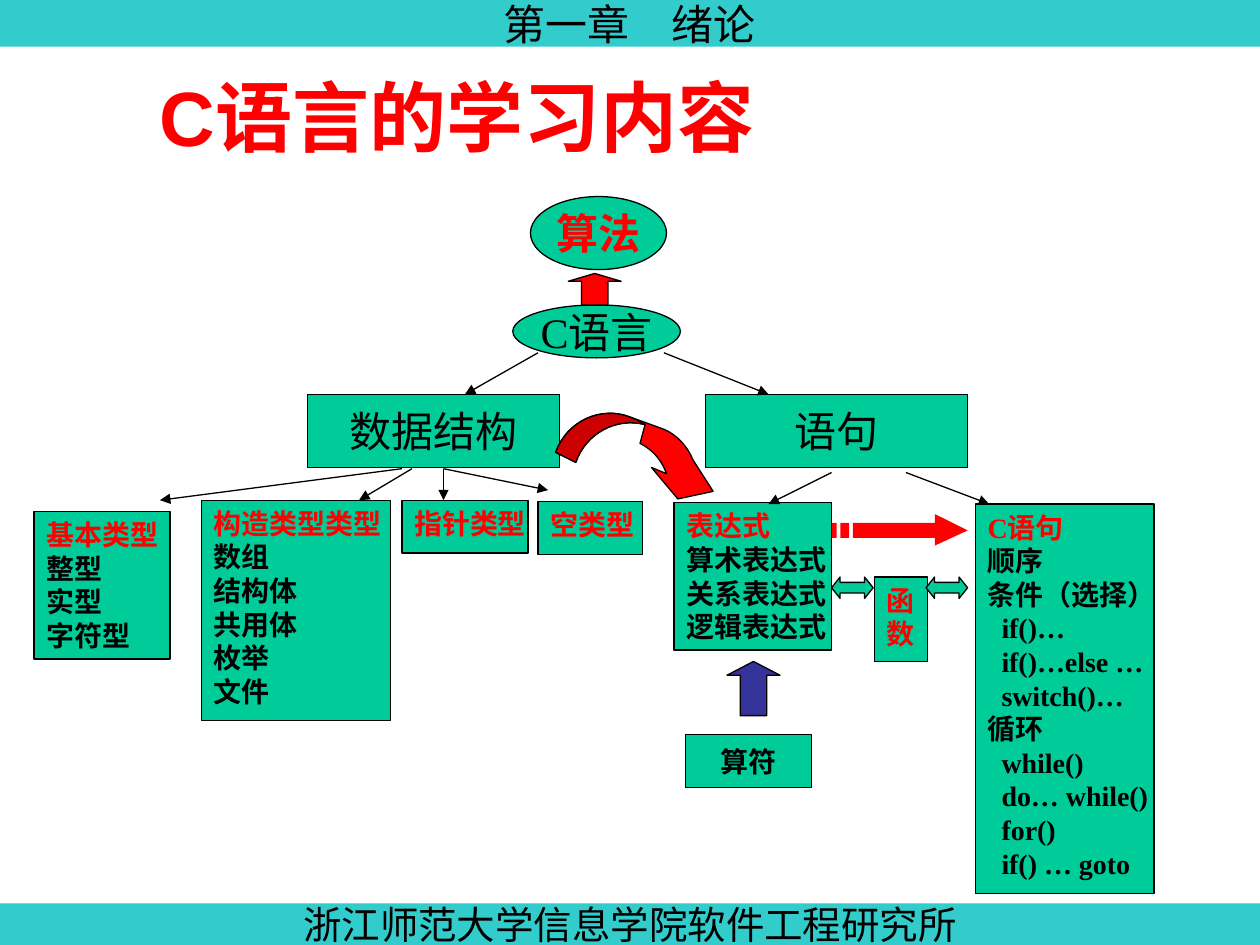
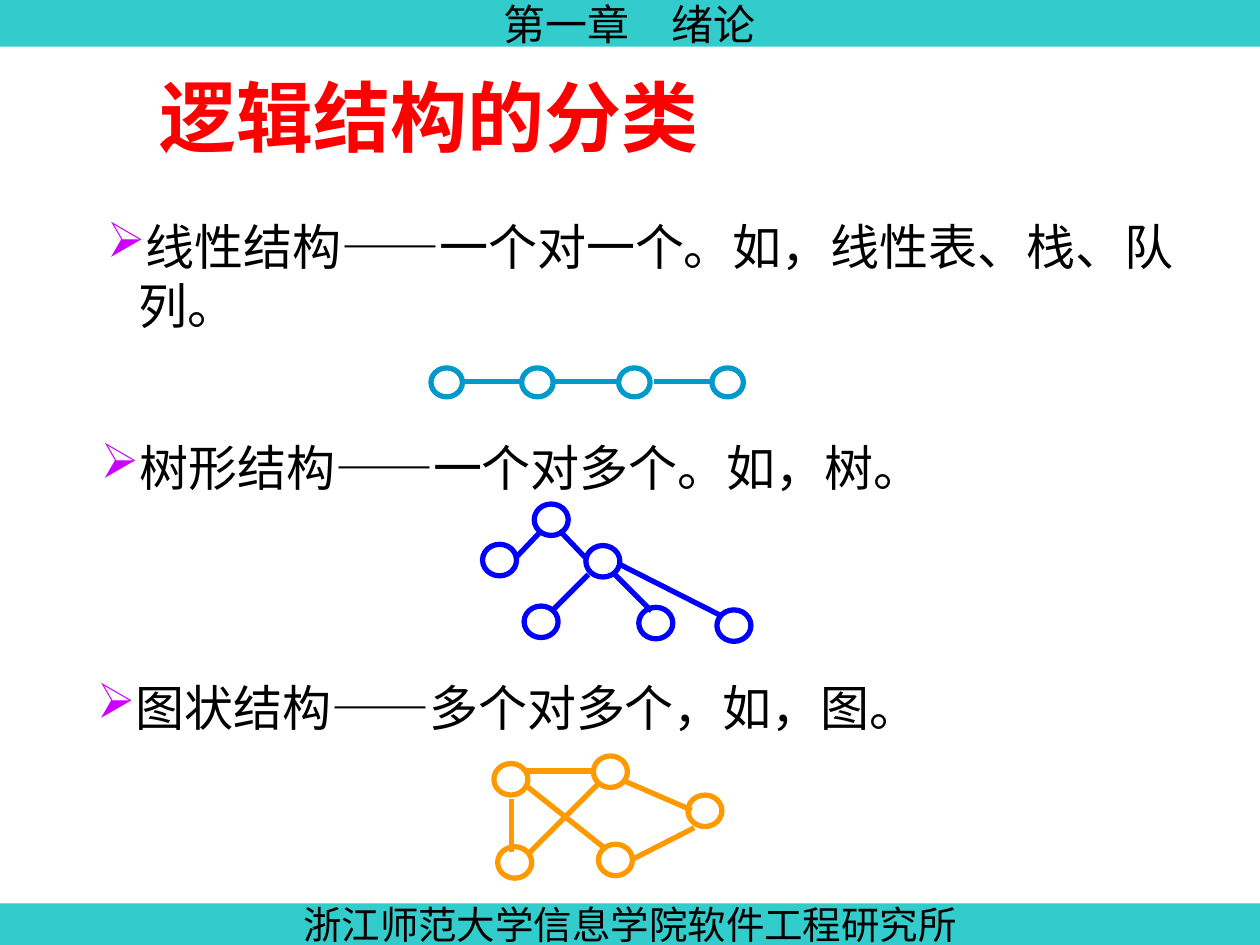
from dataclasses import dataclass
from typing import Any

from lxml import etree
from pptx import Presentation
from pptx.dml.color import RGBColor
from pptx.enum import shapes as es, text as et
from pptx.oxml.ns import qn
from pptx.util import Inches, Pt

BLACK = RGBColor(0x00, 0x00, 0x00)
RED = RGBColor(0xFF, 0x00, 0x00)
DARK_RED = RGBColor(0xCC, 0x00, 0x00)
BAND = RGBColor(0x33, 0xCC, 0xCC)
GREEN = RGBColor(0x00, 0xCC, 0x99)
INDIGO = RGBColor(0x33, 0x33, 0x99)
LINEAR = RGBColor(0x00, 0x99, 0xCC)
TREE = RGBColor(0x00, 0x00, 0xFF)
GRAPH = RGBColor(0xFF, 0x99, 0x00)
BULLET = RGBColor(0xCC, 0x00, 0xFF)

BODY_FONT = "Times New Roman"
TITLE_FONT = "Arial"
MST = es.MSO_SHAPE
LEFT, CENTER = et.PP_ALIGN.LEFT, et.PP_ALIGN.CENTER
TOP, MIDDLE = et.MSO_ANCHOR.TOP, et.MSO_ANCHOR.MIDDLE


def style(sp, fill=None, line=None, width=0.75):
    sp.shadow.inherit = False
    if fill is None:
        sp.fill.background()
    else:
        sp.fill.solid()
        sp.fill.fore_color.rgb = fill
    if line is None:
        sp.line.fill.background()
    else:
        sp.line.color.rgb = line
        sp.line.width = Pt(width)


def add_run(p, text, size, color, bold=False, font=BODY_FONT):
    r = p.add_run()
    r.text = text
    r.font.size, r.font.bold, r.font.name = Pt(size), bold, font
    r.font.color.rgb = color


def new_paragraph(tf, first, align=LEFT):
    p = tf.paragraphs[0] if first else tf.add_paragraph()
    p.alignment = align
    return p


def bezier(a, b, c, d, steps=16):
    """Points of a cubic curve after its start."""
    for i in range(1, steps + 1):
        t = i / steps
        s = 1 - t
        yield tuple(s**3 * w + 3 * s * s * t * x + 3 * s * t * t * y + t**3 * z
                    for w, x, y, z in zip(a, b, c, d))


@dataclass
class Region:
    """Draws shapes relative to its own top left corner, in inches."""
    shapes: Any
    x: float
    y: float

    def shape(self, kind, x, y, w, h, fill=None, line=BLACK, width=0.75, adj=()):
        sp = self.shapes.add_shape(kind, Inches(self.x + x), Inches(self.y + y),
                                   Inches(w), Inches(h))
        style(sp, fill, line, width)
        for i, value in enumerate(adj):
            sp.adjustments[i] = value
        return sp

    def label(self, kind, box, text, size=24, color=BLACK, bold=False,
              fill=GREEN, line=BLACK):
        """A shape with one centred line of text."""
        tf = self.shape(kind, *box, fill, line).text_frame
        tf.word_wrap = False
        tf.vertical_anchor = MIDDLE
        add_run(new_paragraph(tf, True, CENTER), text, size, color, bold)

    def listing(self, box, heads, items=(), indented=()):
        """A box with red heading lines above black items."""
        tf = self.shape(MST.RECTANGLE, *box, GREEN).text_frame
        tf.word_wrap = False
        tf.vertical_anchor = TOP
        for i, text in enumerate([*heads, *items]):
            p = new_paragraph(tf, i == 0)
            if text in indented:
                p._p.get_or_add_pPr().set("marL", str(Inches(0.11)))
            add_run(p, text, 16, RED if i < len(heads) else BLACK, True)

    def line(self, x1, y1, x2, y2, color=BLACK, width=0.75, arrow=True):
        cx = self.shapes.add_connector(
            es.MSO_CONNECTOR.STRAIGHT, Inches(self.x + x1), Inches(self.y + y1),
            Inches(self.x + x2), Inches(self.y + y2))
        cx.line.color.rgb = color
        cx.line.width = Pt(width)
        if arrow:
            ln = cx.line._get_or_add_ln()
            etree.SubElement(ln, qn("a:tailEnd"), type="triangle")
        etree.SubElement(cx._element.spPr, qn("a:effectLst"))

    def outline(self, contours, fill, line=None):
        contours = [[(Inches(self.x + x), Inches(self.y + y)) for x, y in points]
                    for points in contours]
        fb = self.shapes.build_freeform(*contours[0][0])
        for i, points in enumerate(contours):
            if i:
                fb.move_to(*points[0])
            fb.add_line_segments(points[1:], close=True)
        style(fb.convert_to_shape(), fill, line)


def new_slide(prs, title):
    """A slide with the chapter band, the footer band and its title."""
    slide = prs.slides.add_slide(prs.slide_layouts[6])
    page = Region(slide.shapes, 0, 0)
    for text, y, h, size in (("第一章\u3000绪论", 0, 0.37, 24),
                             ("浙江师范大学信息学院软件工程研究所", 7.17, 0.33, 22)):
        page.label(MST.RECTANGLE, (0, y, 10, h), text, size, fill=BAND, line=None)
    tf = slide.shapes.add_textbox(Inches(1.17), Inches(0.42),
                                  Inches(8.42), Inches(1)).text_frame
    tf.word_wrap = True
    tf.vertical_anchor = MIDDLE
    add_run(new_paragraph(tf, True), title, 44, RED, True, TITLE_FONT)
    return slide


def language_core(rg):
    rg.label(MST.OVAL, (1.63, 0.86, 1.33, 0.42), "C语言")
    rg.label(MST.OVAL, (1.77, 0, 1.08, 0.58), "算法", color=RED, bold=True)
    rg.shape(MST.UP_ARROW, 2.07, 0.61, 0.42, 0.25, RED, adj=(0.5, 0.25))
    rg.label(MST.RECTANGLE, (0, 1.57, 2, 0.58), "数据结构")
    rg.label(MST.RECTANGLE, (3.16, 1.57, 2.08, 0.58), "语句")
    rg.line(1.83, 1.24, 1.25, 1.57)
    rg.line(2.83, 1.24, 3.66, 1.57)


def data_types(rg):
    rg.listing((0, 0.34, 1.08, 1.17), ["基本类型"], ["整型", "实型", "字符型"])
    rg.listing((1.33, 0.25, 1.5, 1.75), ["构造类型类型"],
               ["数组", "结构体", "共用体", "枚举", "文件"])
    rg.listing((2.92, 0.25, 1, 0.42), ["指针类型"])
    rg.listing((4, 0.26, 0.83, 0.42), ["空类型"])
    for start, end, drop in ((2.92, 1, 0.25), (3, 2.58, 0.25),
                             (3.25, 3.25, 0.25), (3.25, 4.08, 0.17)):
        rg.line(start, 0, end, drop)


def statements(rg):
    rg.listing((0, 0.24, 1.25, 1.17), ["表达式"],
               ["算术表达式", "关系表达式", "逻辑表达式"])
    rg.label(MST.RECTANGLE, (0.09, 2.08, 1, 0.42), "算符", 16, bold=True)
    rg.shape(MST.UP_ARROW, 0.42, 1.5, 0.42, 0.43, INDIGO, adj=(0.5, 0.26))
    branches = ["if()…", "if()…else …", "switch()…"]
    loops = ["while()", "do… while()", "for()", "if() … goto"]
    rg.listing((2.39, 0.25, 1.42, 3.09), ["C语句"],
               ["顺序", "条件（选择）", *branches, "循环", *loops],
               indented=branches + loops)
    rg.line(1.25, 0, 0.75, 0.25)
    rg.line(1.84, 0, 2.5, 0.25)
    rg.listing((1.59, 0.83, 0.42, 0.67), ["函", "数"])
    for x in (1.25, 2):
        rg.shape(MST.LEFT_RIGHT_ARROW, x, 0.83, 0.33, 0.17, GREEN, adj=(0.5, 0.4))


def curved_arrow(rg):
    """Arrow bending from the data structures to the expressions."""
    start, crest, fold = (0, 0.31), (0.59, 0.03), (0.71, 0.09)
    rise = [start, *bezier(start, (0.09, 0.06), (0.36, -0.06), crest)]
    back = [fold, *bezier(fold, (0.48, 0.03), (0.24, 0.16), (0.16, 0.39))]
    outer = bezier((0.84, 0.12), (0.95, 0.16), (1.04, 0.25), (1.09, 0.37))
    head = [(1.25, 0.62), (0.97, 0.68), (0.76, 0.43), (0.88, 0.48)]
    inner = bezier(head[-1], (0.84, 0.37), (0.77, 0.29), (0.67, 0.24))
    rg.outline([[*rise, (0.84, 0.12), *outer, *head, *inner, *back]], RED, BLACK)
    rg.outline([[*rise, (0.64, 0.05), *back]], DARK_RED, BLACK)


def striped_arrow(rg):
    top, bottom = 0.07, 0.19
    stripes = [[(a, top), (b, top), (b, bottom), (a, bottom)]
               for a, b in ((0, 0.04), (0.07, 0.14))]
    body = [(0.17, top), (0.82, top), (0.82, 0), (1.08, 0.13),
            (0.82, 0.25), (0.82, bottom), (0.17, bottom)]
    rg.outline([body, *stripes], RED)


def bullet_text(slide, x, y, w, h, text):
    tf = slide.shapes.add_textbox(Inches(x), Inches(y), Inches(w), Inches(h)).text_frame
    tf.word_wrap = True
    p = new_paragraph(tf, True)
    pPr = p._p.get_or_add_pPr()
    pPr.set("marL", str(Inches(0.25)))
    pPr.set("indent", str(-Inches(0.25)))
    color = etree.SubElement(pPr, qn("a:buClr"))
    etree.SubElement(color, qn("a:srgbClr"), val=str(BULLET))
    etree.SubElement(pPr, qn("a:buChar"), char="➢")
    add_run(p, text, 28, BLACK)


def node_diagram(slide, x, y, color, size, nodes, edges):
    """Grouped rings and links, placed from the corner x, y."""
    rg = Region(slide.shapes.add_group_shape().shapes, x, y)
    for node in nodes:
        rg.shape(MST.OVAL, *node, *size, line=color, width=3)
    for edge in edges:
        rg.line(*edge, color, 3, arrow=False)


def content_slide(prs):
    shapes = new_slide(prs, "C语言的学习内容").shapes
    language_core(Region(shapes, 2.44, 1.56))
    data_types(Region(shapes, 0.27, 3.72))
    statements(Region(shapes, 5.35, 3.75))
    curved_arrow(Region(shapes, 4.41, 3.28))
    striped_arrow(Region(shapes, 6.6, 4.08))


def structure_slide(prs):
    slide = new_slide(prs, "逻辑结构的分类")
    bullet_text(slide, 0.75, 1.67, 8.67, 1.04,
                "线性结构——一个对一个。如，线性表、栈、队列。")
    node_diagram(slide, 3.42, 2.92, LINEAR, (0.25, 0.23),
                 [(x, 0) for x in (0, 0.72, 1.49, 2.23)],
                 [(a, 0.11, b, 0.11)
                  for a, b in ((0.25, 0.71), (0.96, 1.5), (1.77, 2.22))])
    bullet_text(slide, 0.7, 3.42, 7.4, 0.57, "树形结构——一个对多个。如，树。")
    node_diagram(slide, 3.83, 4, TREE, (0.27, 0.25),
                 [(0.41, 0), (0, 0.32), (0.82, 0.33),
                  (0.33, 0.81), (1.24, 0.82), (1.86, 0.84)],
                 [(0.45, 0.23, 0.26, 0.43), (0.84, 0.56, 0.55, 0.85),
                  (0.61, 0.21, 0.82, 0.43), (1.03, 0.54, 1.34, 0.85),
                  (1.09, 0.48, 1.9, 0.89)])
    bullet_text(slide, 0.67, 5.33, 6.85, 0.57, "图状结构——多个对多个，如，图。")
    node_diagram(slide, 3.92, 6, GRAPH, (0.27, 0.25),
                 [(0.79, 0), (0.03, 0.72), (0.83, 0.7), (1.54, 0.31), (0, 0.06)],
                 [(0.14, 0.34, 0.14, 0.76), (0.26, 0.24, 0.89, 0.74),
                  (1.04, 0.2, 1.57, 0.43), (0.83, 0.22, 0.27, 0.78),
                  (1.59, 0.57, 1.1, 0.82), (0.26, 0.12, 0.79, 0.12)])


def main():
    prs = Presentation()
    prs.slide_width, prs.slide_height = Inches(10), Inches(7.5)
    content_slide(prs)
    structure_slide(prs)
    prs.save("out.pptx")


if __name__ == "__main__":
    main()
